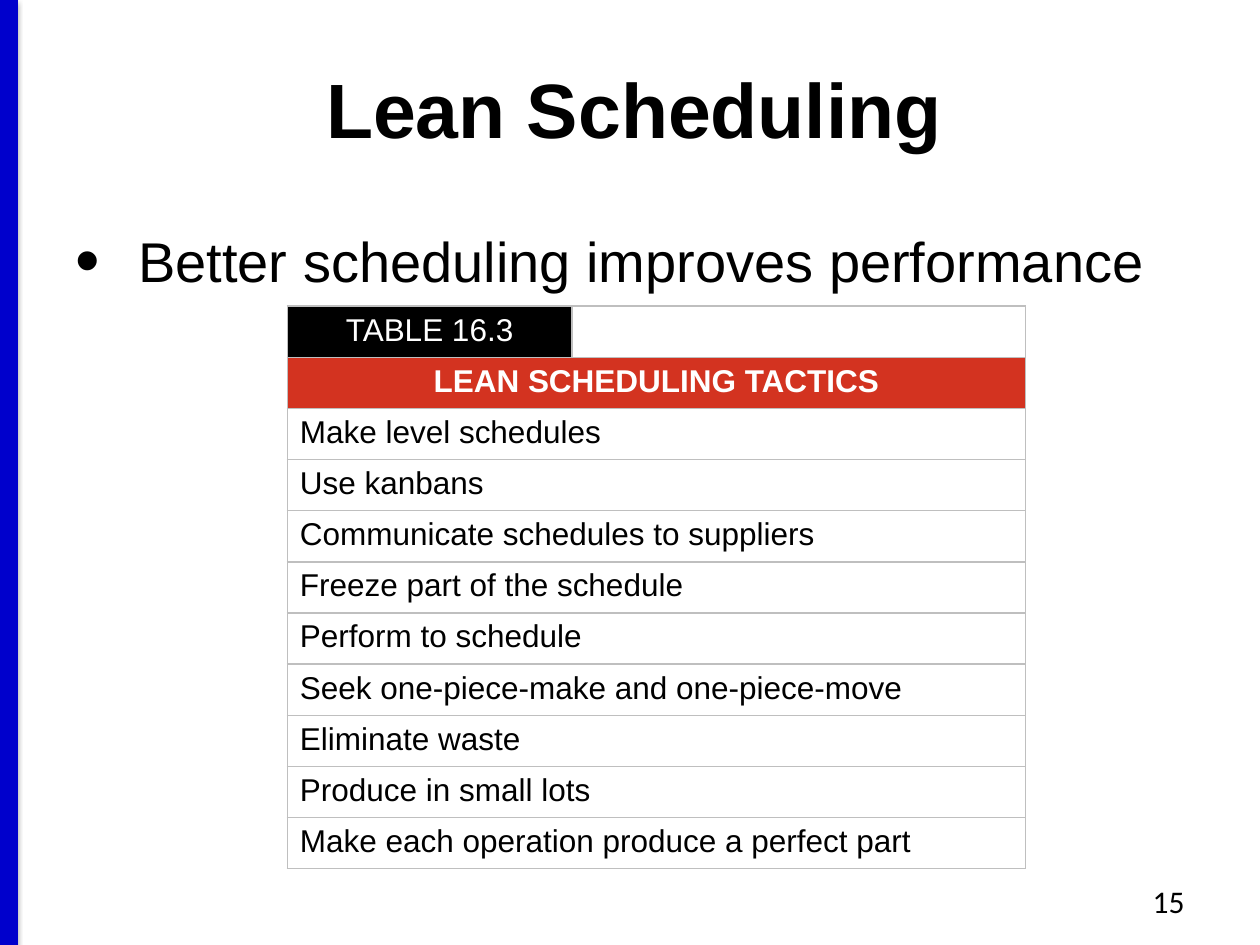
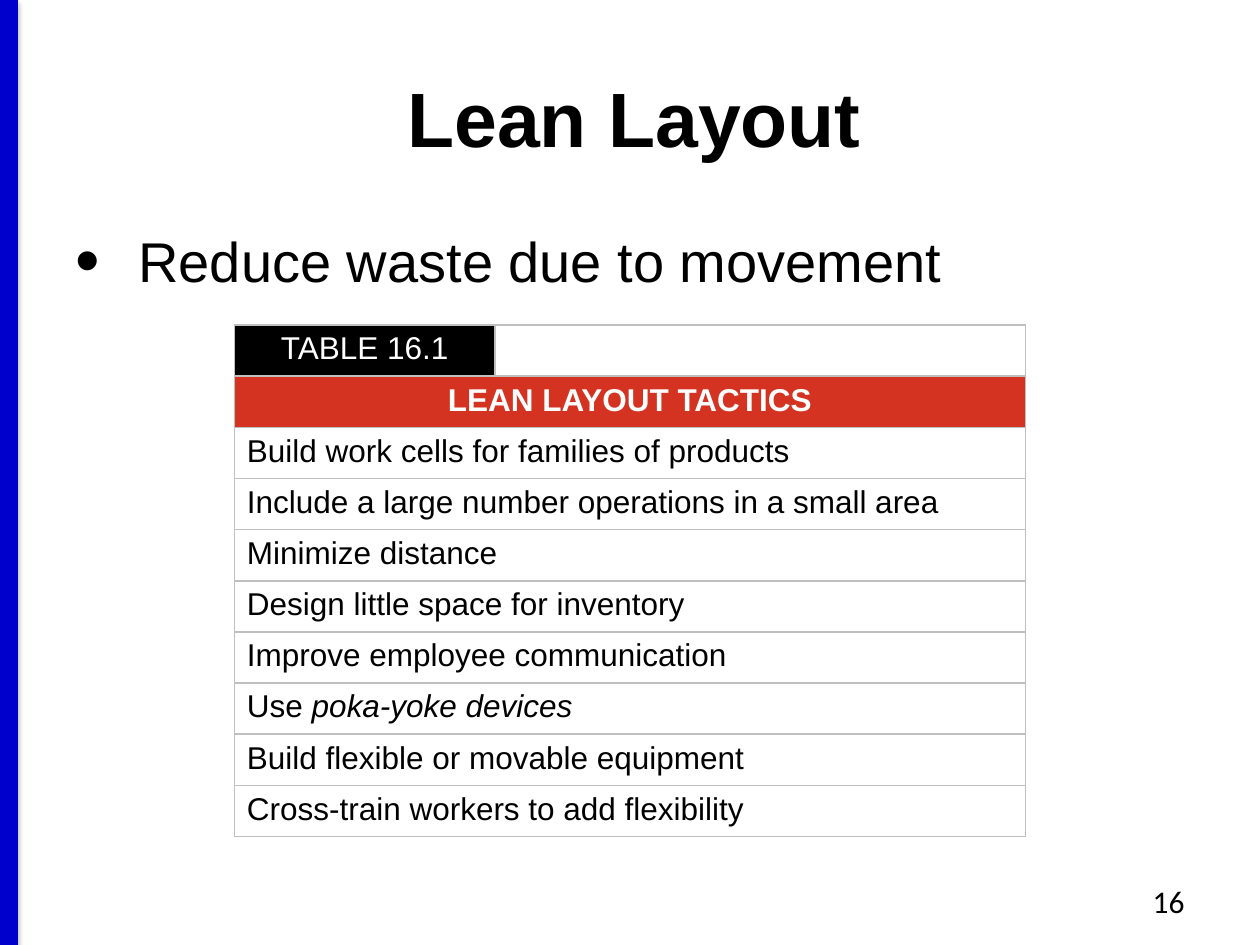
import lxml.etree
import pptx
import pptx.dml.color
import pptx.enum.shapes
import pptx.enum.text
import pptx.oxml.ns
import pptx.util

deck = pptx.Presentation()
deck.slide_width = pptx.util.Inches(10)
deck.slide_height = pptx.util.Inches(7.5)
col = deck.slide_width / 100
row = deck.slide_height / 75

tints = {"band": "0000CC", "ink": "000000", "paper": "FFFFFF",
         "red": "D33320", "rule": "BFBFBF"}
align = pptx.enum.text.PP_ALIGN
anchor = pptx.enum.text.MSO_ANCHOR
point = pptx.util.Pt

looks = {
    "title": ("ink", {"name": "Arial", "size": point(44), "bold": True}, {"alignment": align.CENTER}),
    "point": ("ink", {"name": "Arial", "size": point(32)}, {"space_after": point(12)}),
    "page": ("ink", {"name": "Calibri", "size": point(18)}, {"alignment": align.RIGHT}),
    "label": ("paper", {"name": "Arial", "size": point(18)}, {"alignment": align.CENTER}),
    "head": ("paper", {"name": "Arial", "size": point(18), "bold": True}, {"alignment": align.CENTER}),
    "item": ("ink", {"name": "Arial", "size": point(18)}, {"alignment": align.LEFT}),
}
boxes = {
    "title": ((0.7, 3, 99.3, 12.5), anchor.MIDDLE),
    "point": ((5, 17.5, 90, 49.5), anchor.TOP),
    "page": ((71.7, 69.5, 23.3, 4), anchor.TOP),
}
pages = [
    {"title": "Lean Scheduling", "point": "Better scheduling improves performance",
     "page": "15", "lead": 0.8, "spot": (22.8, 24.3), "cols": (22.6, 36),
     "label": "TABLE 16.3", "head": "LEAN SCHEDULING TACTICS",
     "items": ["Make level schedules", "Use kanbans", "Communicate schedules to suppliers",
               "Freeze part of the schedule", "Perform to schedule",
               "Seek one-piece-make and one-piece-move", "Eliminate waste",
               "Produce in small lots", "Make each operation produce a perfect part"]},
    {"title": "Lean Layout", "point": "Reduce waste due to movement",
     "page": "16", "lead": 1.0, "spot": (18.6, 25.8), "cols": (20.7, 42.1),
     "label": "TABLE 16.1", "head": "LEAN LAYOUT TACTICS",
     "items": ["Build work cells for families of products",
               "Include a large number operations in a small area", "Minimize distance",
               "Design little space for inventory", "Improve employee communication",
               "Use *poka-yoke devices", "Build flexible or movable equipment",
               "Cross-train workers to add flexibility"]},
]


def add_node(host, tag, **values):
    node = lxml.etree.SubElement(host, pptx.oxml.ns.qn(tag))
    for key, value in values.items():
        node.set(key, str(value))
    return node


def add_text(frame, text, look):
    tint, fonts, lines = looks[look]
    para = frame.paragraphs[0]
    for key, value in lines.items():
        setattr(para, key, value)
    for turn, part in enumerate(text.split("*")):
        run = para.add_run()
        run.text = part
        for key, value in {**fonts, "italic": turn == 1}.items():
            setattr(run.font, key, value)
        run.font.color.rgb = pptx.dml.color.RGBColor.from_string(tints[tint])
    return para


for page in pages:
    slide = deck.slides.add_slide(deck.slide_layouts[6])

    band = slide.shapes.add_connector(
        pptx.enum.shapes.MSO_CONNECTOR.STRAIGHT,
        int(0.7 * col), 0, int(0.7 * col), deck.slide_height)
    band.line.width = point(10)
    band.line.color.rgb = pptx.dml.color.RGBColor.from_string(tints["band"])
    glow = add_node(band._element.spPr, "a:effectLst")
    shade = add_node(glow, "a:outerShdw", blurRad=point(3.1), dist=point(1.6),
                     dir=5400000, rotWithShape=0)
    shade = add_node(shade, "a:srgbClr", val=tints["ink"])
    add_node(shade, "a:alpha", val=38000)

    paras = {}
    for name, ((left, top, wide, high), hold) in boxes.items():
        box = slide.shapes.add_textbox(int(left * col), int(top * row),
                                       int(wide * col), int(high * row))
        box.text_frame.word_wrap = True
        box.text_frame.vertical_anchor = hold
        paras[name] = add_text(box.text_frame, page[name], name)
    paras["title"].line_spacing = page["lead"]
    props = paras["point"]._p.get_or_add_pPr()
    props.set("marL", str(int(5 * col)))
    props.set("indent", str(int(-5 * col)))
    add_node(props, "a:buSzPct", val=125000)
    add_node(props, "a:buFont", typeface="Arial")
    add_node(props, "a:buChar", char="•")

    count = len(page["items"]) + 2
    left, top = page["spot"]
    grid = slide.shapes.add_table(
        count, 2, int(left * col), int(top * row),
        int(sum(page["cols"]) * col), int(count * 4.06 * row)).table
    for key, value in {"first_row": False, "horz_banding": False}.items():
        setattr(grid, key, value)
    for part, wide in zip(grid.columns, page["cols"]):
        part.width = int(wide * col)

    fills = {(0, 0): "ink", (1, 0): "red", (1, 1): "red"}
    for down in range(count):
        grid.rows[down].height = int(4.06 * row)
        for over in range(2):
            cell = grid.cell(down, over)
            props = cell._tc.get_or_add_tcPr()
            for side in ("a:lnL", "a:lnR", "a:lnT", "a:lnB"):
                edge = add_node(props, side, w=point(1))
                edge = add_node(edge, "a:solidFill")
                add_node(edge, "a:srgbClr", val=tints["rule"])
            cell.fill.solid()
            tint = tints[fills.get((down, over), "paper")]
            cell.fill.fore_color.rgb = pptx.dml.color.RGBColor.from_string(tint)
        if down:
            grid.cell(down, 0).merge(grid.cell(down, 1))

    texts = [page["label"], page["head"], *page["items"]]
    kinds = ["label", "head"] + ["item"] * len(page["items"])
    for down, (text, kind) in enumerate(zip(texts, kinds)):
        add_text(grid.cell(down, 0).text_frame, text, kind)

deck.save("out.pptx")
